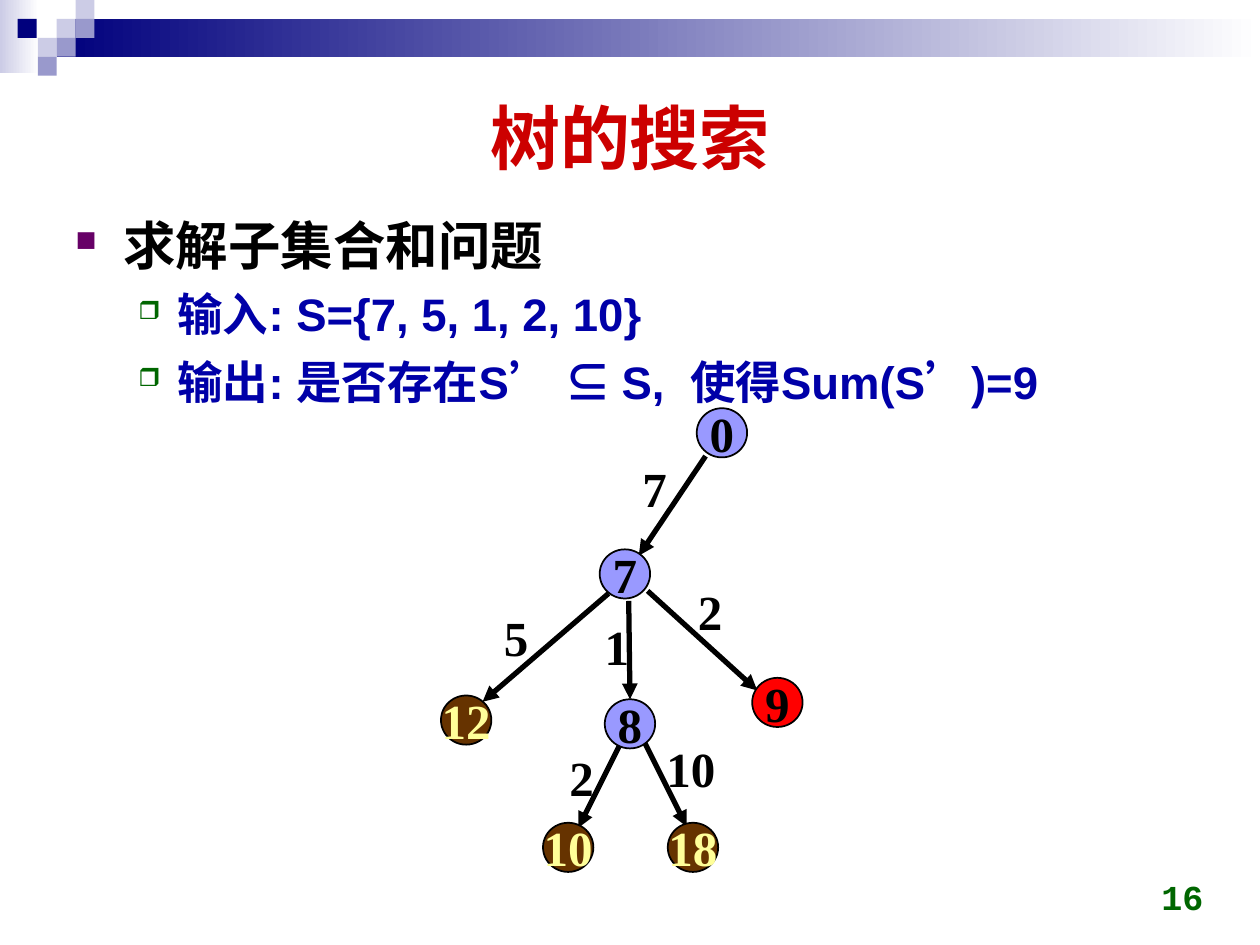
from lxml.etree import SubElement
from pptx import Presentation
from pptx.dml.color import RGBColor
from pptx.enum.shapes import MSO_CONNECTOR, MSO_SHAPE
from pptx.enum.text import MSO_ANCHOR, MSO_AUTO_SIZE, PP_ALIGN
from pptx.oxml.ns import qn
from pptx.util import Pt

PX = 9144  # 100 px to the inch

BLACK = RGBColor(0x00, 0x00, 0x00)
WHITE = RGBColor(0xFF, 0xFF, 0xFF)
NAVY = RGBColor(0x00, 0x00, 0x7D)
LAVENDER = RGBColor(0xCC, 0xCC, 0xE6)
PERIWINKLE = RGBColor(0x99, 0x99, 0xCC)
TITLE_RED = RGBColor(0xCC, 0x00, 0x00)
TEXT_BLUE = RGBColor(0x00, 0x00, 0xA8)
GREEN = RGBColor(0x00, 0x66, 0x00)
PURPLE = RGBColor(0x66, 0x00, 0x66)
OPEN_BLUE = RGBColor(0x99, 0x99, 0xFF)
DEAD_BROWN = RGBColor(0x66, 0x33, 0x00)
GOAL_RED = RGBColor(0xFF, 0x00, 0x00)
PALE_YELLOW = RGBColor(0xFF, 0xFF, 0x99)

SANS, SERIF, MONO = "Arial", "Times New Roman", "Courier New"


class SlideBuilder:
    def __init__(self, slide):
        self.slide = slide
        self.shapes = slide.shapes

    def box(self, *bounds):
        return [value * PX for value in bounds]

    def set_font(self, font, name, size, color):
        font.name, font.size, font.bold = name, Pt(size), True
        font.color.rgb = color

    def title(self, text, *bounds):
        shape = self.shapes.title
        shape.left, shape.top, shape.width, shape.height = self.box(*bounds)
        shape.text_frame.text = text
        shape.text_frame.vertical_anchor = MSO_ANCHOR.MIDDLE
        paragraph = shape.text_frame.paragraphs[0]
        paragraph.alignment = PP_ALIGN.CENTER
        self.set_font(paragraph.font, SANS, 40, TITLE_RED)

    def rectangle(self, bounds, color, end_color=None):
        shape = self.shapes.add_shape(MSO_SHAPE.RECTANGLE, *self.box(*bounds))
        shape.shadow.inherit = False
        shape.line.fill.background()
        if end_color is None:
            shape.fill.solid()
            shape.fill.fore_color.rgb = color
        else:
            shape.fill.gradient()
            shape.fill.gradient_angle = 0
            for stop, stop_color in zip(shape.fill.gradient_stops, (color, end_color)):
                stop.color.rgb = stop_color

    def text(self, text, bounds, name, size, color, align=PP_ALIGN.LEFT,
             anchor=MSO_ANCHOR.TOP, auto_size=MSO_AUTO_SIZE.NONE):
        frame = self.shapes.add_textbox(*self.box(*bounds)).text_frame
        frame.word_wrap = True
        frame.auto_size = auto_size
        frame.vertical_anchor = anchor
        paragraph = frame.paragraphs[0]
        paragraph.text = text
        paragraph.alignment = align
        self.set_font(paragraph.font, name, size, color)

    def bullet(self, paragraph, char, color, margin, indent, space_before):
        paragraph.line_spacing = 1.05
        properties = paragraph._p.get_or_add_pPr()
        properties.set("marL", str(margin * PX))
        properties.set("indent", str(indent * PX))
        if space_before:
            spacing = SubElement(properties, qn("a:spcBef"))
            SubElement(spacing, qn("a:spcPct"), val="15000")
        bullet_color = SubElement(properties, qn("a:buClr"))
        SubElement(bullet_color, qn("a:srgbClr"), val=str(color))
        SubElement(properties, qn("a:buSzPct"), val="55000")
        SubElement(properties, qn("a:buChar"), char=char)

    def outline(self, heading, items, *bounds):
        frame = self.shapes.add_textbox(*self.box(*bounds)).text_frame
        frame.word_wrap = True
        paragraph = frame.paragraphs[0]
        paragraph.text = heading
        self.bullet(paragraph, "■", PURPLE, 38, -38, False)
        self.set_font(paragraph.font, SANS, 30, BLACK)
        for runs in items:
            paragraph = frame.add_paragraph()
            paragraph.level = 1
            self.bullet(paragraph, "❒", GREEN, 81, -31, True)
            for text in runs:
                run = paragraph.add_run()
                run.text = text
                if text.isspace():
                    self.set_font(run.font, SERIF, 28, TEXT_BLUE)
                else:
                    self.set_font(run.font, SANS, 26, TEXT_BLUE)

    def arrow(self, *ends):
        connector = self.shapes.add_connector(MSO_CONNECTOR.STRAIGHT, *self.box(*ends))
        connector.line.color.rgb = BLACK
        connector.line.width = Pt(3)
        SubElement(connector.line._get_or_add_ln(), qn("a:tailEnd"), type="triangle")
        SubElement(connector._element.spPr, qn("a:effectLst"))

    def node(self, text, left, top, fill, color=BLACK):
        shape = self.shapes.add_shape(MSO_SHAPE.OVAL, *self.box(left, top, 40, 39))
        shape.shadow.inherit = False
        shape.fill.solid()
        shape.fill.fore_color.rgb = fill
        shape.line.color.rgb = BLACK
        shape.line.width = Pt(1)
        frame = shape.text_frame
        frame.word_wrap = False
        frame.vertical_anchor = MSO_ANCHOR.MIDDLE
        paragraph = frame.paragraphs[0]
        paragraph.text = text
        paragraph.alignment = PP_ALIGN.CENTER
        self.set_font(paragraph.font, SERIF, 28, color)

    def edge_label(self, text, left, top):
        width = 33 if len(text) == 1 else 64
        self.text(text, (left, top, width, 57), SERIF, 28, BLACK,
                  auto_size=MSO_AUTO_SIZE.SHAPE_TO_FIT_TEXT)


def main():
    presentation = Presentation()
    presentation.slide_width, presentation.slide_height = 1000 * PX, 750 * PX
    builder = SlideBuilder(presentation.slides.add_slide(presentation.slide_layouts[5]))

    # Header band and its squares
    builder.rectangle((0, 0, 31, 58), LAVENDER, WHITE)
    builder.rectangle((45, 15, 955, 30), NAVY, WHITE)
    for left, top, color in [
        (45, 15, LAVENDER), (60, 0, LAVENDER), (60, 15, PERIWINKLE),
        (30, 30, LAVENDER), (14, 15, NAVY), (45, 30, PERIWINKLE),
        (30, 45, PERIWINKLE),
    ]:
        builder.rectangle((left, top, 15, 15), color)

    # Title, problem statement and page number
    builder.title("树的搜索", 50, 50, 900, 116)
    builder.outline(
        "求解子集合和问题",
        [["输入: S={7, 5, 1, 2, 10}"],
         ["输出: 是否存在S’", " ", "⊆ S,  使得Sum(S’)=9"]],
        50, 162, 900, 520)
    builder.text("16", (732, 683, 233, 50), MONO, 20, GREEN,
                 PP_ALIGN.RIGHT, MSO_ANCHOR.BOTTOM)

    # Tree edges
    for ends in [
        (560, 362, 507, 441), (483, 471, 383, 557), (499, 477, 500, 555),
        (514, 469, 601, 548), (492, 591, 459, 657), (512, 590, 545, 656),
    ]:
        builder.arrow(*ends)

    # Tree nodes: open, dead end and goal
    for text, left, top in [("0", 553, 324), ("7", 476, 436), ("8", 480, 555)]:
        builder.node(text, left, top, OPEN_BLUE)
    for text, left, top in [("12", 350, 552), ("10", 431, 653), ("18", 530, 653)]:
        builder.node(text, left, top, DEAD_BROWN, PALE_YELLOW)
    builder.node("9", 597, 538, GOAL_RED)

    # Numbers chosen along the edges
    for text, left, top in [
        ("7", 500, 359), ("5", 390, 477), ("1", 470, 484),
        ("2", 544, 457), ("2", 442, 588), ("10", 519, 581),
    ]:
        builder.edge_label(text, left, top)

    presentation.save("out.pptx")


if __name__ == "__main__":
    main()
